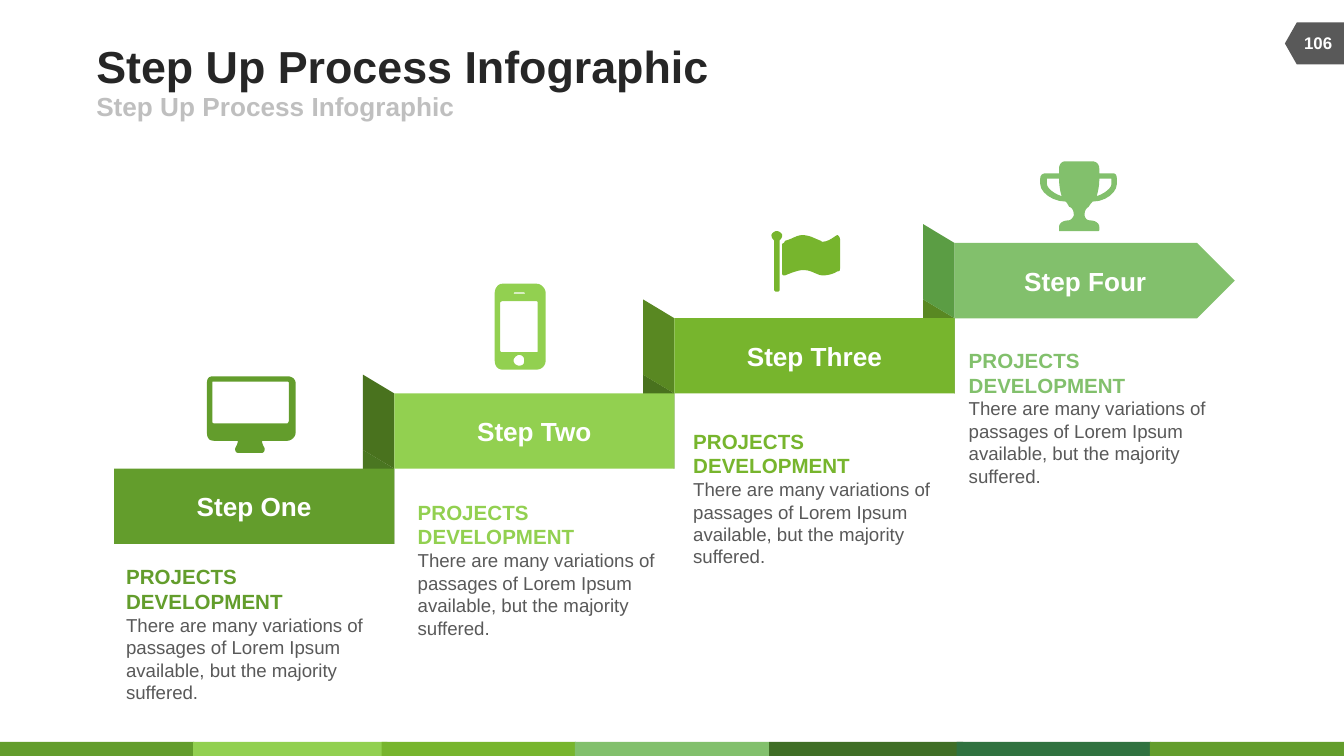
"""Build the step up process infographic slide."""
from lxml.etree import SubElement
from pptx import Presentation
from pptx.dml.color import RGBColor
from pptx.enum.shapes import MSO_SHAPE
from pptx.enum.text import MSO_ANCHOR, PP_ALIGN
from pptx.oxml.ns import qn
from pptx.util import Pt

TITLE = SUBTITLE = "Step Up Process Infographic"
PAGE = "106"
HEADING = "PROJECTS DEVELOPMENT"
BODY = ("There are many variations of passages of Lorem Ipsum available, "
        "but the majority suffered.")
GRAY = "595959"
WHITE = "FFFFFF"

FOOTER = [(0, "639D2C"), (103.5, "92D050"), (204.5, "77B52D"), (308, "82C06C"),
          (412, "406E26"), (512.5, "307240"), (616, "639D2C")]

MONITOR = [
    [(66, 42), (66, 45, 63, 48, 60, 48), (41, 48), (41, 51, 43, 53, 43, 54),
     (43, 56, 42, 57, 41, 57), (23, 57), (22, 57, 21, 56, 21, 54),
     (21, 53, 23, 51, 23, 48), (5, 48), (1, 48, 0, 45, 0, 42), (0, 5),
     (0, 2, 1, 0, 5, 0), (60, 0), (63, 0, 66, 2, 66, 5)],
    [(61, 5), (61, 4, 60, 4, 60, 4), (5, 4), (4, 4, 4, 4, 4, 5), (4, 33),
     (4, 34, 4, 35, 5, 35), (60, 35), (60, 35, 61, 34, 61, 33)],
]
PHONE = [
    [(38, 57), (38, 61, 35, 64, 31, 64), (6, 64), (2, 64, 0, 61, 0, 57), (0, 7),
     (0, 4, 2, 0, 6, 0), (31, 0), (35, 0, 38, 4, 38, 7)],
    [(32, 14), (32, 14, 32, 13, 31, 13), (6, 13), (5, 13, 4, 14, 4, 14), (4, 49),
     (4, 51, 5, 51, 6, 51), (31, 51), (32, 51, 32, 51, 32, 49)],
    [(22, 6.5), (14.5, 6.5), (14, 7.5), (23, 7.5)],
    [(18, 53), (17, 53, 14, 55, 14, 57), (14, 60, 17, 61, 18, 61),
     (21, 61, 22, 60, 22, 57), (22, 55, 21, 53, 18, 53)],
]
FLAG = [
    [(6, 7), (6, 44), (6, 44, 6, 45, 5, 45), (3, 45), (3, 45, 2, 44, 2, 44), (2, 7),
     (1, 6, 0, 5, 0, 3), (0, 2, 2, 0, 4, 0), (6, 0, 8, 2, 8, 3), (8, 5, 7, 6, 6, 7)],
    [(51, 28), (51, 29, 51, 30, 49, 30), (46, 32, 42, 33, 38, 33),
     (34, 33, 30, 29, 24, 29), (20, 29, 15, 31, 10, 33), (9, 33, 8, 33, 8, 32),
     (8, 10), (8, 10, 8, 9, 9, 9), (10, 8, 10, 7, 11, 7), (15, 6, 19, 3, 23, 3),
     (28, 3, 31, 5, 36, 7), (37, 7, 37, 8, 38, 8), (43, 8, 48, 3, 49, 3),
     (50, 3, 51, 5, 51, 6)],
]
TROPHY = [
    [(57, 17), (57, 23, 49, 30, 39, 30), (37, 32, 36, 34, 36, 34),
     (34, 35, 33, 37, 33, 40), (33, 41, 34, 44, 37, 44), (41, 44, 44, 46, 44, 49),
     (44, 51), (44, 52, 43, 52, 43, 52), (15, 52), (14, 52, 14, 52, 14, 51), (14, 49),
     (14, 46, 17, 44, 21, 44), (23, 44, 25, 41, 25, 40), (25, 37, 24, 35, 22, 34),
     (21, 34, 21, 32, 19, 30), (9, 30, 0, 23, 0, 17), (0, 13), (0, 10, 2, 9, 4, 9),
     (14, 9), (14, 6), (14, 2, 16, 0, 19, 0), (38, 0), (42, 0, 44, 2, 44, 6), (44, 9),
     (54, 9), (56, 9, 57, 10, 57, 13)],
    [(14, 13), (5, 13), (5, 17), (5, 20, 10, 24, 16, 26), (15, 23, 14, 18, 14, 13)],
    [(53, 13), (44, 13), (44, 18, 43, 23, 42, 26), (48, 24, 53, 20, 53, 17)],
]

STEPS = [
    ("Step One", "639D2C", "4A7621", (60.5, 298.8), MONITOR, (110.9, 201.6)),
    ("Step Two", "92D050", "49721E", (216.7, 264.2), PHONE, (265, 152)),
    ("Step Three", "77B52D", "598822", (364.3, 226.1), FLAG, (413.3, 123.8)),
    ("Step Four", "82C06C", "5B9D44", (511.9, 182.9), TROPHY, (557.3, 86.4)),
]
LEFT, TOP, RUN, RISE, BAR_H = 61.1, 251, 150.1, 40.3, 40.4
FOLD_L, FOLD_W = 50.4, 16.8
ICON_UNIT = 0.72


def rgb(value):
    """Turn a hex string into a colour."""
    return RGBColor.from_string(value)


def paint(sp, color):
    """Give a shape a flat fill without line or shadow."""
    sp.shadow.inherit = False
    sp.fill.solid()
    sp.fill.fore_color.rgb = rgb(color)
    sp.line.fill.background()
    return sp


def add_shape(s, kind, x, y, w, h, color):
    """Add a flat preset shape."""
    return paint(s.shapes.add_shape(kind, Pt(x), Pt(y), Pt(w), Pt(h)), color)


def write(p, text, size, color, bold=True, align=PP_ALIGN.LEFT):
    """Add one formatted run to a paragraph."""
    p.alignment = align
    r = p.add_run()
    r.text = text
    r.font.name = "Arial"
    r.font.size = Pt(size)
    r.font.bold = bold
    r.font.color.rgb = rgb(color)


def no_margins(tf):
    """Clear the insets and wrapping of a middle-anchored frame."""
    tf.margin_left = tf.margin_right = tf.margin_top = tf.margin_bottom = 0
    tf.vertical_anchor = MSO_ANCHOR.MIDDLE
    tf.word_wrap = False


def fill_placeholder(sp, box, text, size, color):
    """Move a placeholder and set its single line without a bullet."""
    sp.left, sp.top, sp.width, sp.height = (Pt(v) for v in box)
    no_margins(sp.text_frame)
    p = sp.text_frame.paragraphs[0]
    pPr = p._p.get_or_add_pPr()
    pPr.set("marL", "0")
    pPr.set("indent", "0")
    SubElement(pPr, qn("a:buNone"))
    p.space_before = Pt(0)
    write(p, text, size, color)


def outline(contour, n=6):
    """Flatten corner points and cubic curves into vertices."""
    points = []
    for seg in contour:
        if len(seg) == 2:
            points.append(seg)
            continue
        a, b, c, d = points[-1], seg[:2], seg[2:4], seg[4:]
        for t in (k / n for k in range(1, n + 1)):
            u = 1 - t
            points.append(tuple(
                u**3 * a[j] + 3 * u * u * t * b[j] + 3 * u * t * t * c[j] + t**3 * d[j]
                for j in (0, 1)))
    return [(Pt(x * ICON_UNIT), Pt(y * ICON_UNIT)) for x, y in points]


def add_icon(s, contours, x, y, color):
    """Draw an icon as one freeform with holes."""
    first, *rest = [outline(c) for c in contours]
    fb = s.shapes.build_freeform(*first[0])
    fb.add_line_segments(first[1:])
    for points in rest:
        fb.move_to(*points[0])
        fb.add_line_segments(points[1:])
    paint(fb.convert_to_shape(Pt(x), Pt(y)), color)


def add_fold(s, joint, bottom, color):
    """Add an upright fold ending at a joint between two bars."""
    x = joint - (FOLD_W + FOLD_L) / 2
    y = bottom - (FOLD_L + FOLD_W) / 2
    add_shape(s, MSO_SHAPE.FLOWCHART_DATA, x, y, FOLD_L, FOLD_W, color).rotation = 270


def add_step(s, i, name, color, shade, text_at, icon, icon_at):
    """Add one step with its folds, bar, text and icon."""
    x, y = LEFT + i * RUN, TOP - i * RISE
    last = i == len(STEPS) - 1
    if not last:
        add_fold(s, x + RUN, y + BAR_H, shade)
    if i:
        add_fold(s, x, y + BAR_H, shade)
    kind = MSO_SHAPE.PENTAGON if last else MSO_SHAPE.RECTANGLE
    tf = add_shape(s, kind, x, y, RUN, BAR_H, color).text_frame
    tf.vertical_anchor = MSO_ANCHOR.MIDDLE
    write(tf.paragraphs[0], name, 14, WHITE, align=PP_ALIGN.CENTER)

    tf = s.shapes.add_textbox(*(Pt(v) for v in (*text_at, 149, 85))).text_frame
    tf.word_wrap = True
    write(tf.paragraphs[0], HEADING, 11, color)
    write(tf.add_paragraph(), BODY, 10, GRAY, bold=False)
    add_icon(s, icon, *icon_at, color)


def main():
    """Assemble and save the slide."""
    prs = Presentation()
    prs.slide_width, prs.slide_height = Pt(720), Pt(405)
    s = prs.slides.add_slide(prs.slide_layouts[1])
    fill_placeholder(s.shapes.title, (51.6, 21, 444, 28), TITLE, 24, "262626")
    fill_placeholder(s.placeholders[1], (51.6, 49, 324, 16), SUBTITLE, 14, "BFBFBF")

    for x, color in FOOTER:
        add_shape(s, MSO_SHAPE.RECTANGLE, x, 397.5, 104, 7.5, color)
    tag = add_shape(s, MSO_SHAPE.FLOWCHART_OFFPAGE_CONNECTOR, 693, 7.4, 22.5, 31.8, GRAY)
    tag.rotation = 90
    tf = s.shapes.add_textbox(Pt(691.2), Pt(12.4), Pt(30), Pt(21.6)).text_frame
    no_margins(tf)
    write(tf.paragraphs[0], PAGE, 9, WHITE, align=PP_ALIGN.CENTER)

    for i, step in enumerate(STEPS):
        add_step(s, i, *step)
    prs.save("out.pptx")


if __name__ == "__main__":
    main()
